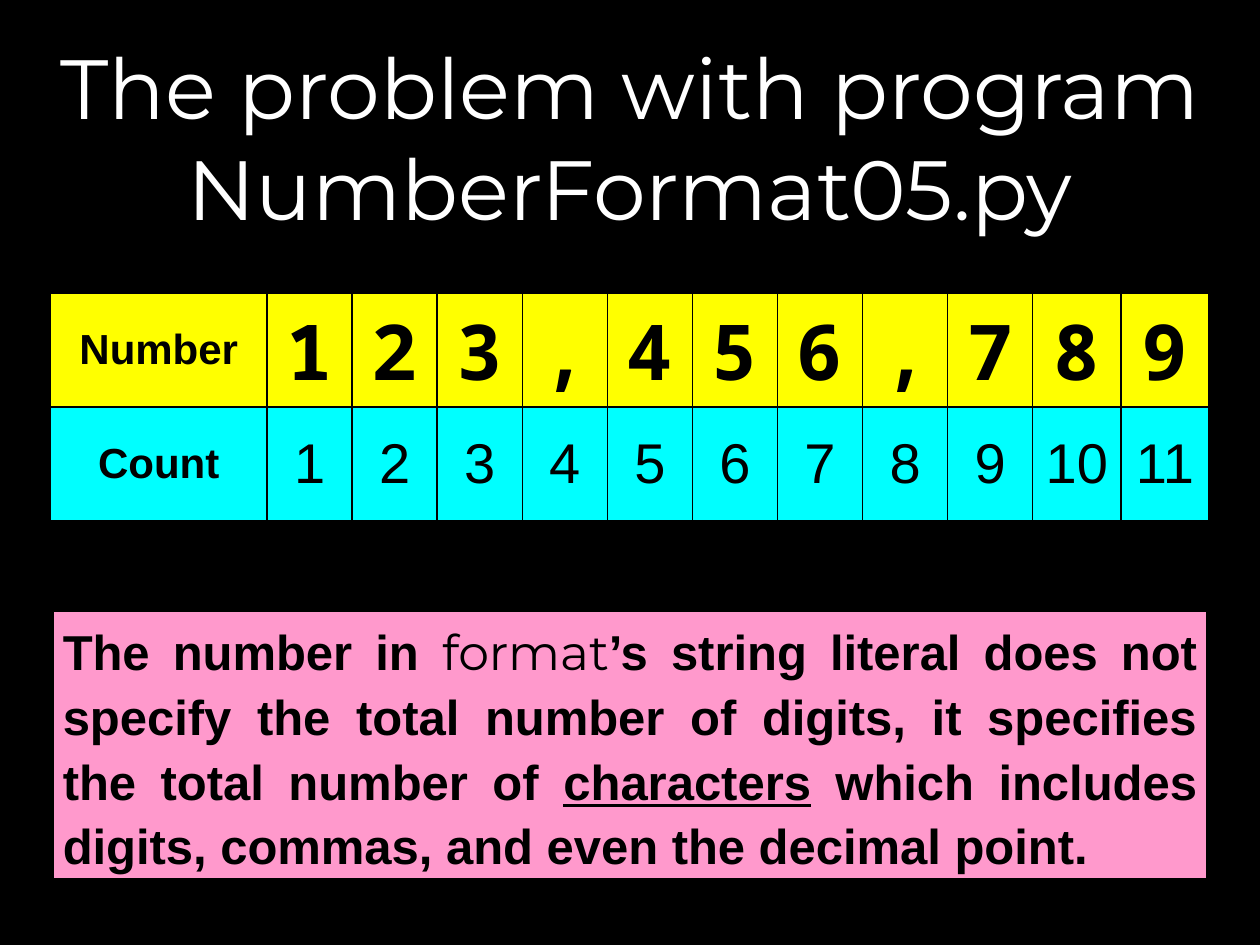
from dataclasses import dataclass

from lxml import etree
from pptx import Presentation
from pptx.dml.color import RGBColor
from pptx.enum.shapes import MSO_SHAPE
from pptx.enum.text import MSO_ANCHOR, MSO_AUTO_SIZE, PP_ALIGN
from pptx.oxml.ns import qn
from pptx.util import Inches, Pt

RECTANGLE = MSO_SHAPE.RECTANGLE
MIDDLE = MSO_ANCHOR.MIDDLE
CENTER = PP_ALIGN.CENTER
JUSTIFY = PP_ALIGN.JUSTIFY
FIT_SHAPE = MSO_AUTO_SIZE.SHAPE_TO_FIT_TEXT


@dataclass(frozen=True)
class Theme:
    black: str = "000000"
    white: str = "FFFFFF"
    yellow: str = "FFFF00"
    cyan: str = "00FFFF"
    pink: str = "FF99CC"
    body_font: str = "Arial"
    title_font: str = "Montserrat"
    digit_font: str = "Noto Sans Mono"
    title_size: int = 48
    label_size: int = 24
    digit_size: int = 44
    count_size: int = 32
    note_size: int = 28


THEME = Theme()
LEFT, WIDTH = 0.4, 9.2
FORMATTED_NUMBER = "123,456,789"
LABEL_WIDTH, WIDE_WIDTH, ROW_HEIGHT = 1.72, 0.7, 0.9
NOTE_RUNS = [
    # text, font, bold, underline
    ("The number in ", THEME.body_font, True, False),
    ("format", THEME.title_font, False, False),
    ("’s string literal does not specify the total number of digits, "
     "it specifies the total number of ", THEME.body_font, True, False),
    ("characters", THEME.body_font, True, True),
    (" which includes digits, commas, and even the decimal point.",
     THEME.body_font, True, False),
]


def paint(fill, color):
    fill.solid()
    fill.fore_color.rgb = RGBColor.from_string(color)


def format_run(run, font, size, color=THEME.black, bold=False, underline=False):
    run.font.name = font
    run.font.size = Pt(size)
    run.font.bold = bold
    run.font.underline = underline
    run.font.color.rgb = RGBColor.from_string(color)


def add_title(slide, text):
    shape = slide.shapes.add_textbox(0, 0, Inches(10), Inches(2.17))
    text_frame = shape.text_frame
    text_frame.word_wrap = True
    text_frame.vertical_anchor = MIDDLE
    text_frame.text = text
    paragraph = text_frame.paragraphs[0]
    paragraph.alignment = CENTER
    format_run(paragraph.runs[0], THEME.title_font, THEME.title_size, THEME.white)


def add_borders(cell, color, points):
    properties = cell._tc.get_or_add_tcPr()
    for index, side in enumerate(("a:lnL", "a:lnR", "a:lnT", "a:lnB")):
        line = etree.Element(qn(side), w=str(Pt(points)))
        fill = etree.SubElement(line, qn("a:solidFill"))
        etree.SubElement(fill, qn("a:srgbClr"), val=color)
        properties.insert(index, line)


def fill_cell(cell, text, fill, font, size, bold):
    paint(cell.fill, fill)
    cell.vertical_anchor = MIDDLE
    cell.margin_left = cell.margin_right = Inches(0.07)
    cell.margin_top = cell.margin_bottom = 0
    cell.text_frame.text = text
    paragraph = cell.text_frame.paragraphs[0]
    paragraph.alignment = CENTER
    format_run(paragraph.runs[0], font, size, bold=bold)
    add_borders(cell, THEME.black, 1)


def add_count_table(slide):
    count = len(FORMATTED_NUMBER)
    rows = [
        ("Number", FORMATTED_NUMBER, THEME.yellow,
         THEME.digit_font, THEME.digit_size, True),
        ("Count", [str(position) for position in range(1, count + 1)], THEME.cyan,
         THEME.body_font, THEME.count_size, False),
    ]
    table = slide.shapes.add_table(
        len(rows), count + 1, Inches(LEFT), Inches(2.33),
        Inches(WIDTH), Inches(ROW_HEIGHT * len(rows))).table

    # The last two columns hold two-digit counts and are slightly wider
    narrow = (WIDTH - LABEL_WIDTH - 2 * WIDE_WIDTH) / (count - 2)
    widths = [LABEL_WIDTH] + [narrow] * (count - 2) + [WIDE_WIDTH] * 2
    for column, width in zip(table.columns, widths):
        column.width = Inches(width)

    for index, (label, values, fill, font, size, bold) in enumerate(rows):
        table.rows[index].height = Inches(ROW_HEIGHT)
        fill_cell(table.cell(index, 0), label, fill,
                  THEME.body_font, THEME.label_size, True)
        for position, value in enumerate(values, start=1):
            fill_cell(table.cell(index, position), value, fill, font, size, bold)


def add_note(slide):
    shape = slide.shapes.add_shape(
        RECTANGLE, Inches(LEFT), Inches(4.83), Inches(WIDTH), Inches(2.17))
    shape.shadow.inherit = False
    paint(shape.fill, THEME.pink)
    paint(shape.line.fill, THEME.black)
    shape.line.width = Pt(4.5)
    text_frame = shape.text_frame
    text_frame.word_wrap = True
    text_frame.auto_size = FIT_SHAPE
    paragraph = text_frame.paragraphs[0]
    paragraph.alignment = JUSTIFY
    paragraph.line_spacing = 1.1
    for text, font, bold, underline in NOTE_RUNS:
        run = paragraph.add_run()
        run.text = text
        format_run(run, font, THEME.note_size, bold=bold, underline=underline)


def main():
    presentation = Presentation()
    presentation.slide_width = Inches(10)
    presentation.slide_height = Inches(7.5)
    slide = presentation.slides.add_slide(presentation.slide_layouts[6])
    paint(slide.background.fill, THEME.black)

    add_title(slide, "The problem with program NumberFormat05.py")
    add_note(slide)
    add_count_table(slide)
    presentation.save("out.pptx")


if __name__ == "__main__":
    main()
